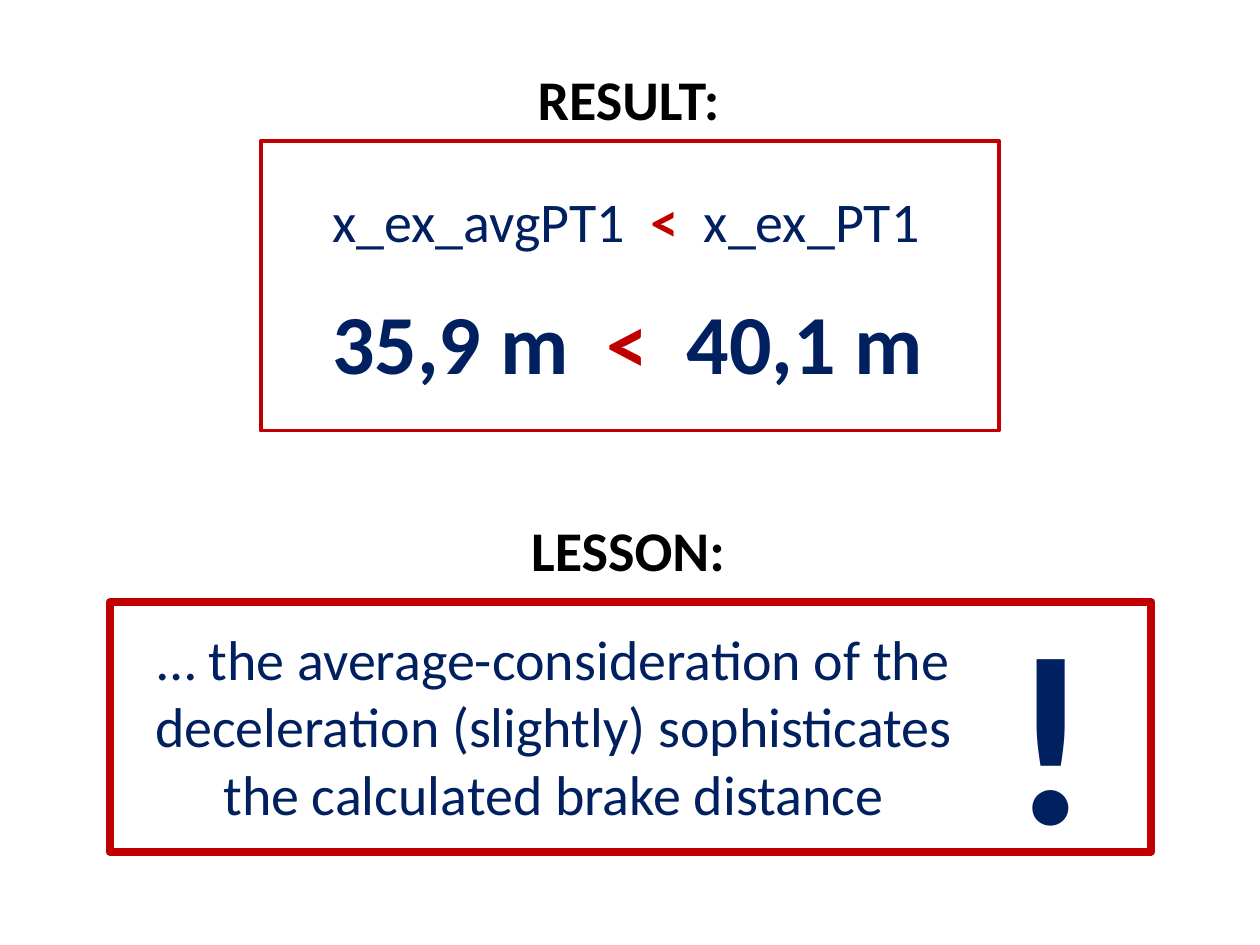
from dataclasses import dataclass

from pptx import Presentation
from pptx import util as u
from pptx.dml.color import RGBColor
from pptx.enum import shapes, text


@dataclass(frozen=True)
class Theme:
    font: str = "Calibri"
    black: str = "000000"
    navy: str = "002060"
    red: str = "C00000"
    body: int = 32
    large: int = 48
    huge: int = 138
    thin: float = 2.25
    thick: float = 4.5


class Page:
    def __init__(self, deck, theme):
        self.slide = deck.slides.add_slide(deck.slide_layouts[6])
        self.theme = theme

    def frame(self, box, width):
        """Outlined rectangle without a fill."""
        rect = self.slide.shapes.add_shape(
            shapes.MSO_SHAPE.RECTANGLE, *map(u.Cm, box))
        rect.shadow.inherit = False
        rect.fill.background()
        rect.line.color.rgb = RGBColor.from_string(self.theme.red)
        rect.line.width = u.Pt(width)

    def label(self, box, lines, size, bold=None, wrap=False, align=None):
        """Text box; each line is a list of (words, colour, bold) runs."""
        frame = self.slide.shapes.add_textbox(*map(u.Cm, box)).text_frame
        frame.word_wrap = wrap
        frame.auto_size = text.MSO_AUTO_SIZE.SHAPE_TO_FIT_TEXT
        for i, runs in enumerate(lines):
            para = frame.add_paragraph() if i else frame.paragraphs[0]
            para.alignment = align
            para.font.name = self.theme.font
            para.font.size = u.Pt(size)
            para.font.bold = bold
            for words, color, *heavy in runs:
                run = para.add_run()
                run.text = words
                run.font.color.rgb = RGBColor.from_string(color)
                if heavy:
                    run.font.bold = heavy[0]

    def title(self, box, words):
        self.label(box, [[(words, self.theme.black)]], self.theme.body, True)

    def compare(self, box, left, right, size, bold):
        """Two terms around a red less-than sign."""
        navy, red = self.theme.navy, self.theme.red
        runs = [(left + "  ", navy, bold), ("<  ", red, True),
                (right, navy, bold)]
        self.label(box, [runs], size)


def main():
    deck = Presentation()
    deck.slide_width, deck.slide_height = u.Cm(25.4), u.Cm(19.05)
    theme = Theme()
    page = Page(deck, theme)

    # Result
    page.title((10.59, 1.17, 4.22, 1.63), "RESULT:")
    page.compare((6.45, 3.63, 12.73, 1.63),
                 "x_ex_avgPT1", "x_ex_PT1", theme.body, False)
    page.compare((6.45, 5.74, 12.95, 2.31),
                 "35,9 m", "40,1 m", theme.large, True)
    page.frame((5.26, 2.84, 14.88, 5.84), theme.thin)

    # Lesson
    page.title((10.46, 10.26, 4.45, 1.63), "LESSON:")
    page.frame((2.21, 12.14, 21, 5.03), theme.thick)
    lesson = ("… the average-consideration of the deceleration "
              "(slightly) sophisticates",
              "the calculated brake distance")
    page.label((-0.05, 12.47, 22.43, 4.37),
               [[(line, theme.navy)] for line in lesson],
               theme.body, wrap=True, align=text.PP_ALIGN.CENTER)
    page.label((20.14, 11.63, 2.11, 6.15),
               [[("!", theme.navy)]], theme.huge, True)

    deck.save("out.pptx")


if __name__ == "__main__":
    main()
